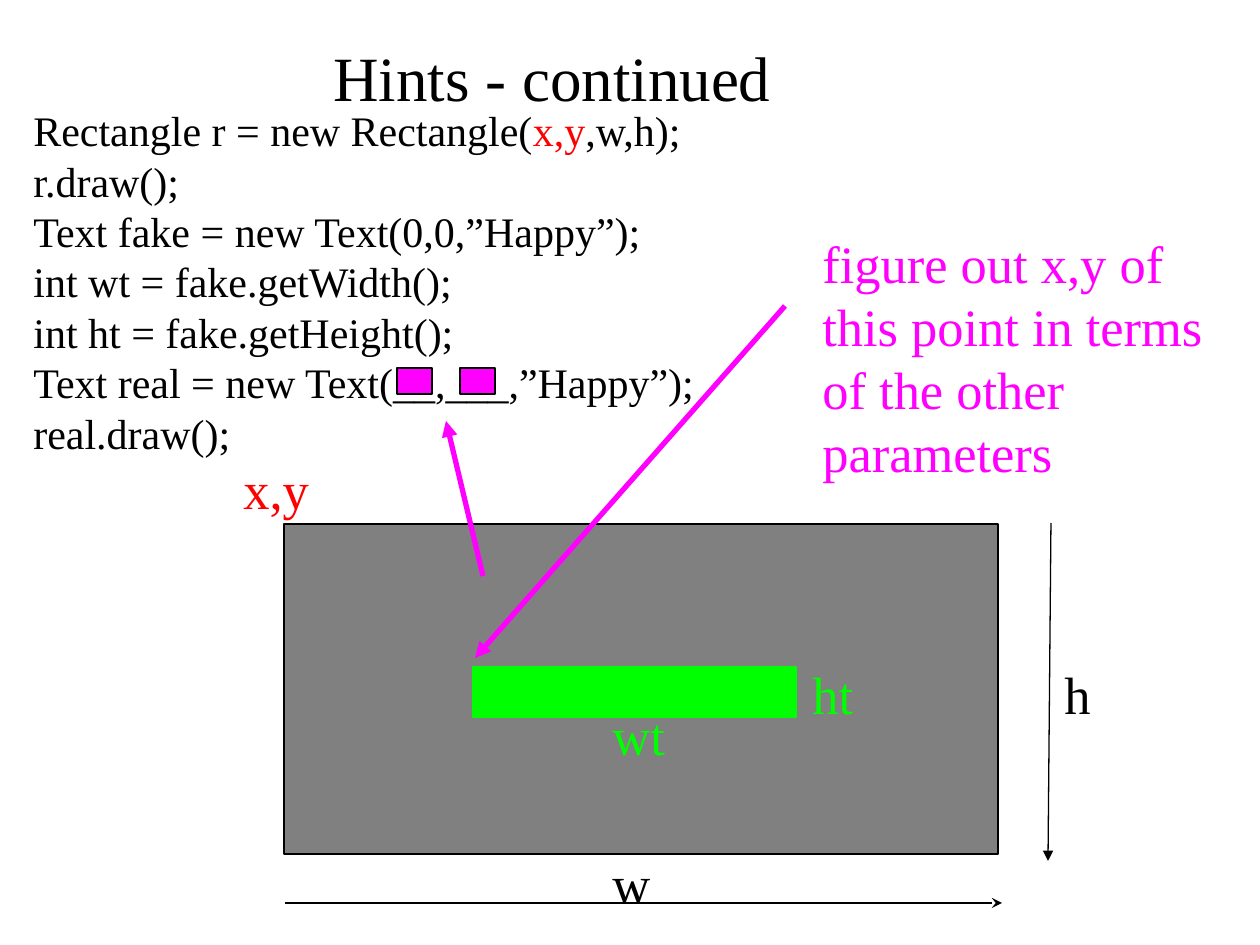
from pptx import Presentation
from pptx.dml.color import RGBColor
from pptx.enum.shapes import MSO_CONNECTOR, MSO_SHAPE
from pptx.enum.text import MSO_ANCHOR
from pptx.oxml.ns import qn
from pptx.util import Inches, Pt
from lxml import etree

RECT = MSO_SHAPE.RECTANGLE
STRAIGHT = MSO_CONNECTOR.STRAIGHT
TOP = MSO_ANCHOR.TOP

BLACK = RGBColor(0x00, 0x00, 0x00)
GRAY = RGBColor(0x80, 0x80, 0x80)
RED = RGBColor(0xFF, 0x00, 0x00)
GREEN = RGBColor(0x00, 0xFF, 0x00)
MAGENTA = RGBColor(0xFF, 0x00, 0xFF)

FONT = "Times New Roman"
LINE_HEIGHT = 1.2
BOX_H = 118
PX = 914400 / 126


def px(*values):
    return [round(v * PX) for v in values]


def add_text(x, y, w, size, paragraphs):
    """Add a text box; each paragraph is a list of (text, colour) runs."""
    tf = s.shapes.add_textbox(*px(x, y, w, BOX_H)).text_frame
    tf.word_wrap = True
    tf.vertical_anchor = TOP
    tf.margin_left = tf.margin_right = Inches(0.1)
    tf.margin_top = tf.margin_bottom = Inches(0.1)
    for i, runs in enumerate(paragraphs):
        p = tf.add_paragraph() if i else tf.paragraphs[0]
        p.line_spacing = Pt(size * LINE_HEIGHT)
        for text, color in runs:
            r = p.add_run()
            r.text = text
            r.font.name = FONT
            r.font.size = Pt(size)
            r.font.color.rgb = color


prs = Presentation()
prs.slide_width, prs.slide_height = Inches(10), Inches(7.5)
s = prs.slides.add_slide(prs.slide_layouts[6])

# Rectangles: outer, text bounds, the two blanks in the code
for x, y, w, h, fill, line in [
    (284, 524, 714, 330, GRAY, BLACK),
    (473, 667, 323, 50, GREEN, GREEN),
    (397, 368, 35, 26, MAGENTA, BLACK),
    (460, 368, 35, 26, MAGENTA, BLACK),
]:
    sp = s.shapes.add_shape(RECT, *px(x, y, w, h))
    sp.shadow.inherit = False
    sp.fill.solid()
    sp.fill.fore_color.rgb = fill
    sp.line.color.rgb = line
    sp.line.width = Pt(0.75)

# Title
add_text(321, 26, 617, 36, [[("Hints - continued", BLACK)]])

# Code
code = [
    [("Rectangle r = new Rectangle(", BLACK), ("x,y", RED), (",w,h);", BLACK)],
    [("r.draw();", BLACK)],
    [("Text fake = new Text(0,0,”Happy”);", BLACK)],
    [("int wt = fake.getWidth();", BLACK)],
    [("int ht = fake.getHeight();", BLACK)],
    [("Text real = new Text(__,___,”Happy”);", BLACK)],
    [("real.draw();", BLACK)],
]
add_text(21, 92, 1027, 24, code)

# Dimension labels
for text, x, y, w, color in [
    ("x,y", 231, 444, 108, RED),
    ("w", 600, 838, 81, BLACK),
    ("h", 1052, 649, 81, BLACK),
    ("wt", 600, 690, 81, GREEN),
    ("ht", 800, 649, 81, GREEN),
]:
    add_text(x, y, w, 30, [[(text, color)]])

# Hint
hint = ["figure out x,y of", "this point in terms", "of the other parameters"]
add_text(810, 218, 417, 30, [[(line, MAGENTA)] for line in hint])

# Arrows: width, height, hint to corner, corner to code
for x1, y1, x2, y2, color, width, head in [
    (285, 903, 1002, 903, BLACK, 0.75, "stealth"),
    (1051, 523, 1048, 861, BLACK, 0.75, "triangle"),
    (785, 306, 475, 658, MAGENTA, 3, "triangle"),
    (483, 576, 446, 421, MAGENTA, 3, "triangle"),
]:
    arrow = s.shapes.add_connector(STRAIGHT, *px(x1, y1, x2, y2))
    arrow.line.color.rgb = color
    arrow.line.width = Pt(width)
    etree.SubElement(arrow.line._get_or_add_ln(), qn("a:tailEnd"), type=head)
    etree.SubElement(arrow._element.spPr, qn("a:effectLst"))

prs.save("out.pptx")
